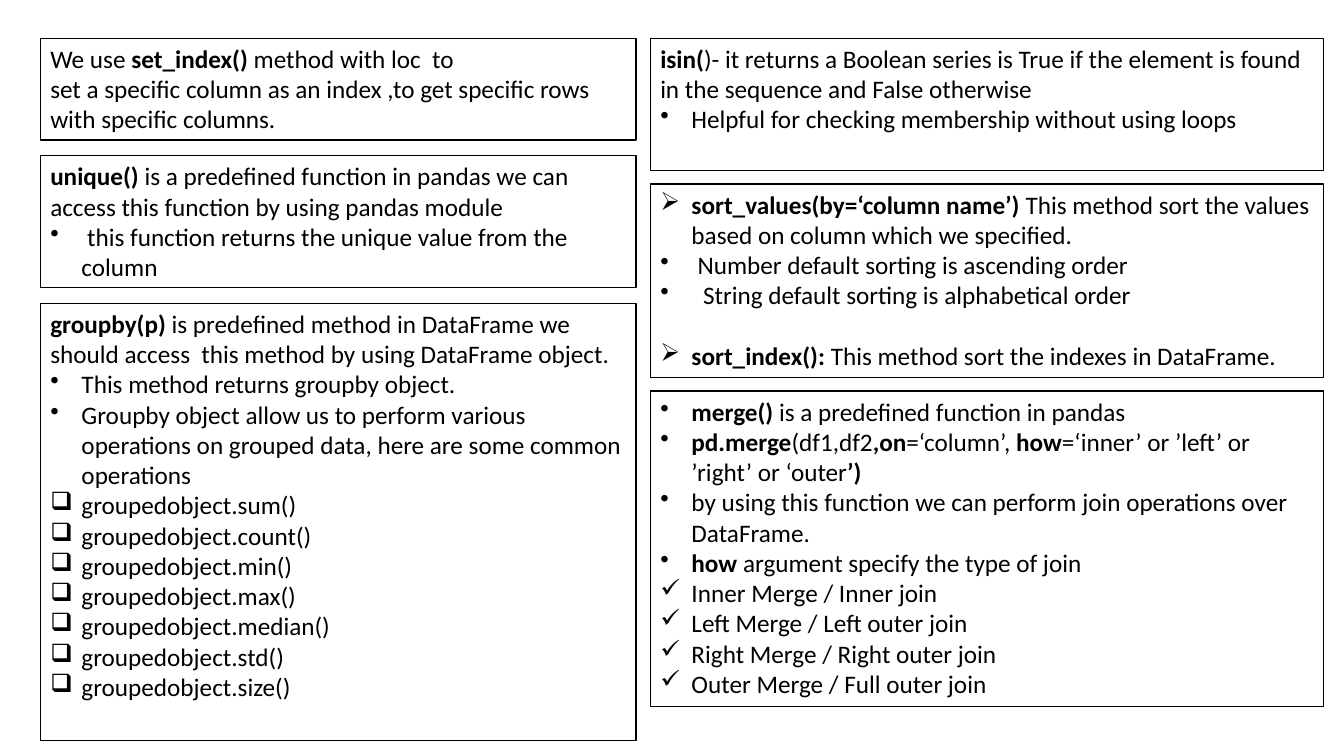
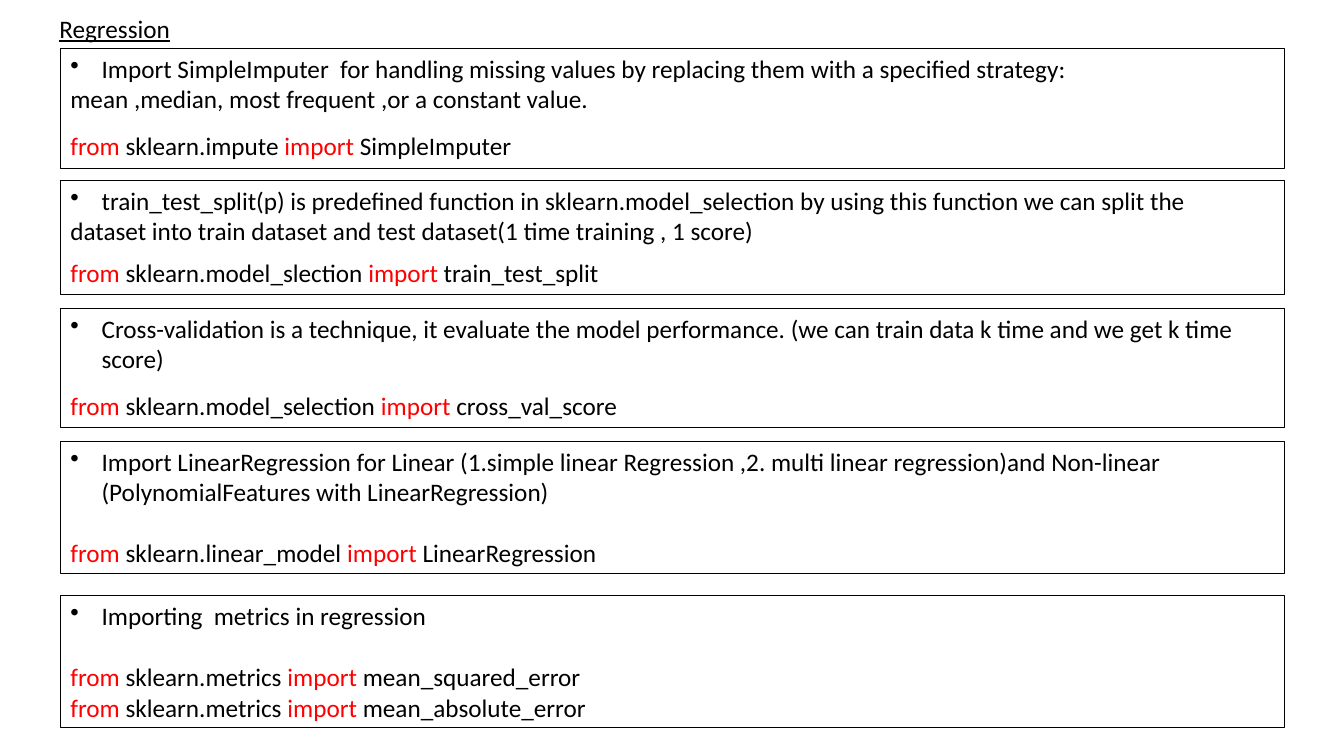
import dataclasses

import lxml.etree
import pptx
import pptx.dml.color
import pptx.enum.shapes
import pptx.enum.text
import pptx.oxml.ns
import pptx.util


@dataclasses.dataclass(frozen=True)
class Theme:
    font: str = "Calibri"
    size: int = 18
    ink: str = "000000"
    hot: str = "FF0000"
    paper: str = "FFFFFF"
    edge: int = 1
    hang: float = 3.1


DOT, ARROW, CHECK, SQUARE = "•", "➢", "✓", "❑"
LINE = 22  # height of one text line, in points


def grid(count):
    """Length of that many grid cells; a cell is a tenth of an inch."""
    return pptx.util.Inches(count / 10)


def tint(code):
    return pptx.dml.color.RGBColor.from_string(code)


def write(frame, text, mark="", hang=0, gap=0, size=18, font="Calibri",
          ink="000000", hot=None, under=None):
    """Add a paragraph; parts between asterisks are bold, or in the hot colour."""
    para = frame.paragraphs[0]
    if para.runs:
        para = frame.add_paragraph()
    para.alignment = pptx.enum.text.PP_ALIGN.LEFT
    para.space_before = pptx.util.Pt(gap)
    if mark:
        props = para._p.get_or_add_pPr()
        props.set("marL", str(grid(hang)))
        props.set("indent", str(-grid(hang)))
        lxml.etree.SubElement(props, pptx.oxml.ns.qn("a:buChar"), char=mark)
    for spot, part in enumerate(text.split("*")):
        if not part:
            continue
        accent = spot % 2 == 1
        run = para.add_run()
        run.text = part
        run.font.name = font
        run.font.size = pptx.util.Pt(size)
        run.font.underline = under
        run.font.bold = accent and not hot
        run.font.color.rgb = tint(hot if accent and hot else ink)


class Deck:
    def __init__(self, theme):
        self.theme = theme
        self.file = pptx.Presentation()
        self.file.slide_width = pptx.util.Inches(13.33)
        self.file.slide_height = pptx.util.Inches(7.5)

    def page(self):
        self.slide = self.file.slides.add_slide(self.file.slide_layouts[6])

    def stack(self, left, top, width, gap):
        """Start a column of boxes."""
        self.left, self.top, self.width, self.gap = left, top, width, gap

    def box(self, rows, gap=None):
        """Add the next box of the column; gap is the space below it."""
        shape = self.slide.shapes.add_shape(
            pptx.enum.shapes.MSO_SHAPE.RECTANGLE, grid(self.left),
            grid(self.top), grid(self.width), grid(rows))
        shape.shadow.inherit = False
        shape.fill.solid()
        shape.fill.fore_color.rgb = tint(self.theme.paper)
        shape.line.color.rgb = tint(self.theme.ink)
        shape.line.width = pptx.util.Pt(self.theme.edge)
        self.frame = shape.text_frame
        self.frame.word_wrap = True
        self.frame.vertical_anchor = pptx.enum.text.MSO_ANCHOR.TOP
        self.top += rows + (self.gap if gap is None else gap)

    def title(self, text, left, top, width, rows):
        label = self.slide.shapes.add_textbox(
            grid(left), grid(top), grid(width), grid(rows))
        self.frame = label.text_frame
        self.frame.word_wrap = True
        self.text(text, under=True)

    def text(self, text, **form):
        look = self.theme
        base = dict(size=look.size, font=look.font, ink=look.ink,
                    hang=look.hang)
        write(self.frame, text, **{**base, **form})

    def list(self, mark, *lines):
        for line in lines:
            self.text(line, mark=mark)

    def code(self, module, name, gap=0):
        """Add an import statement with its keywords coloured."""
        self.text(f"*from* {module} *import* {name}", gap=gap,
                  hot=self.theme.hot)


def pandas(deck):
    deck.page()
    deck.stack(4, 3.8, 59.1, 1.55)
    deck.box(10.1)
    deck.text("We use *set_index() *method with loc  to")
    deck.text("set a specific column as an index ,to get specific rows "
              "with specific columns.")
    deck.box(13.1)
    deck.text("*unique() *is a predefined function in pandas we can access "
              "this function by using pandas module")
    deck.list(DOT, " this function returns the unique value from the column")
    deck.box(43.4)
    deck.text("*groupby(p) *is predefined method in DataFrame we should "
              "access  this method by using DataFrame object.")
    deck.list(DOT, "This method returns groupby object.",
              "Groupby object allow us to perform various operations on "
              "grouped data, here are some common operations")
    names = ("sum", "count", "min", "max", "median", "std", "size")
    deck.list(SQUARE, *(f"groupedobject.{name}()" for name in names))

    deck.stack(64.5, 3.8, 66.8, 1.35)
    deck.box(13.1)
    deck.text("*isin(*)- it returns a Boolean series is True if the element "
              "is found")
    deck.text("in the sequence and False otherwise")
    deck.list(DOT, "Helpful for checking membership without using loops")
    deck.box(19.2)
    deck.list(ARROW, "*sort_values(by=‘column name’) *This method sort the "
              "values based on column which we specified.")
    deck.text("Number default sorting is ascending order",
              mark=DOT, hang=3.7)
    deck.text("String default sorting is alphabetical order",
              mark=DOT, hang=4.25)
    deck.text("*sort_index(): *This method sort the indexes in DataFrame.",
              mark=ARROW, gap=LINE)
    deck.box(31.3)
    deck.list(DOT, "*merge() *is a predefined function in pandas",
              "*pd.merge*(df1,df2*,on*=‘column’, *how*=‘inner’ or ’left’ or "
              "’right’ or ‘outer*’)*",
              "by using this function we can perform join operations over "
              "DataFrame.",
              "*how *argument specify the type of join")
    deck.list(CHECK, "Inner Merge / Inner join",
              "Left Merge / Left outer join",
              "Right Merge / Right outer join",
              "Outer Merge / Full outer join")


def models(deck):
    deck.page()
    deck.title("Regression", 4.9, 0.8, 22.2, 4)
    deck.stack(6, 4.8, 121.4, 1.4)
    deck.box(11.9, gap=1.2)
    deck.list(DOT, "Import SimpleImputer  for handling missing values by "
              "replacing them with a specified strategy:")
    deck.text("mean ,median, most frequent ,or a constant value.")
    deck.code("sklearn.impute", "SimpleImputer", gap=12)
    deck.box(11.3)
    deck.list(DOT, "train_test_split(p) is predefined function in "
              "sklearn.model_selection by using this function we can split "
              "the")
    deck.text("dataset into train dataset and test dataset(1 time training "
              ", 1 score)")
    deck.code("sklearn.model_slection", "train_test_split", gap=8.5)
    deck.box(11.8)
    deck.list(DOT, "Cross-validation is a technique, it evaluate the model "
              "performance. (we can train data k time and we get k time "
              "score)")
    deck.code("sklearn.model_selection", "cross_val_score", gap=12)
    deck.box(13.1, gap=2.2)
    deck.list(DOT, "Import LinearRegression for Linear (1.simple linear "
              "Regression ,2. multi linear regression)and Non-linear "
              "(PolynomialFeatures with LinearRegression)")
    deck.code("sklearn.linear_model", "LinearRegression", gap=LINE)
    deck.box(13.1)
    deck.list(DOT, "Importing  metrics in regression")
    deck.code("sklearn.metrics", "mean_squared_error", gap=LINE)
    deck.code("sklearn.metrics", "mean_absolute_error")


def main():
    deck = Deck(Theme())
    pandas(deck)
    models(deck)
    deck.file.save("out.pptx")


if __name__ == "__main__":
    main()
